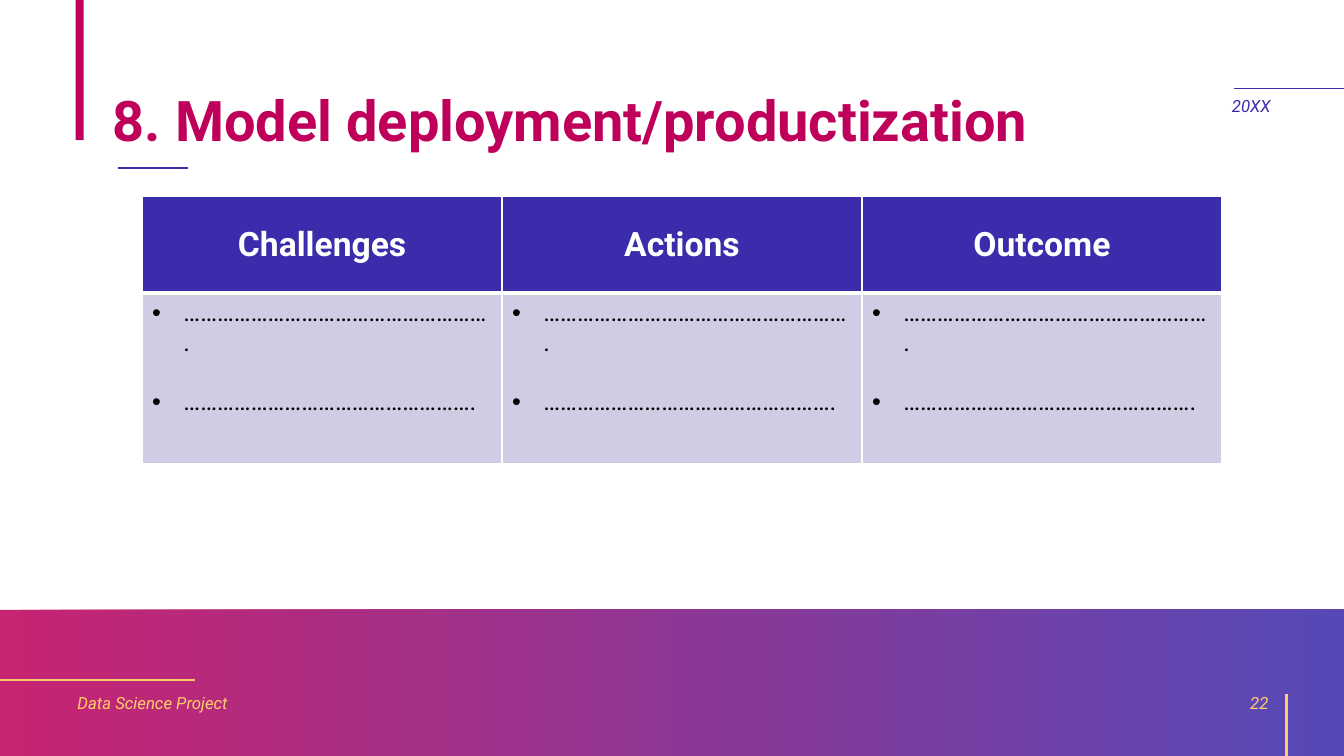
from lxml.etree import SubElement
from pptx import Presentation
from pptx.dml.color import RGBColor
from pptx.enum.shapes import MSO_CONNECTOR, MSO_SHAPE
from pptx.enum.text import MSO_ANCHOR, PP_ALIGN
from pptx.oxml import parse_xml
from pptx.oxml.ns import nsdecls, qn
from pptx.util import Inches, Pt

HUES = {"pink": "BE005A", "blue": "3B2CAC", "gold": "FFCD6B",
        "pale": "CECDE3", "white": "FFFFFF", "black": "000000"}
FONT = "Roboto"
DOTS = ["……………………………………………….", "……………………………………………."]
COLS = {"Challenges": DOTS, "Actions": DOTS, "Outcome": DOTS}


def hue(name):
    return RGBColor.from_string(HUES[name])


def add_run(para, text, size, color, bold=False, italic=False):
    run = para.add_run()
    run.text = text
    font = run.font
    font.name, font.size = FONT, Pt(size)
    font.bold, font.italic = bold, italic
    font.color.rgb = hue(color)


def add_text(slide, box, text, size, color, anchor=MSO_ANCHOR.MIDDLE, **style):
    frame = slide.shapes.add_textbox(*map(Inches, box)).text_frame
    frame.word_wrap = True
    frame.vertical_anchor = anchor
    para = frame.paragraphs[0]
    add_run(para, text, size, color, **style)
    return para


def add_rect(slide, box):
    rect = slide.shapes.add_shape(MSO_SHAPE.RECTANGLE, *map(Inches, box))
    rect.shadow.inherit = False
    rect.line.fill.background()
    return rect


def add_line(slide, ends, color, width):
    line = slide.shapes.add_connector(MSO_CONNECTOR.STRAIGHT, *map(Inches, ends))
    line.line.color.rgb = hue(color)
    line.line.width = Pt(width)
    SubElement(line._element.spPr, qn("a:effectLst"))


def add_head(slide, left, top, width, height):
    # Accent bar, title and short rule
    bar = add_rect(slide, (left, top, 0.08, 1.39))
    bar.fill.solid()
    bar.fill.fore_color.rgb = hue("pink")
    box = (left + 0.27, top + 0.5, width - 0.27, height - 0.5)
    title = add_text(slide, box, "8. Model deployment/productization",
                     40, "pink", bold=True)
    title.line_spacing = 0.9
    rule = top + 1.67
    add_line(slide, (left + 0.42, rule, left + 1.11, rule), "blue", 1.5)


def add_date(slide, left, top, width):
    # Date under a thin rule
    add_line(slide, (left + 0.12, top, left + width, top), "blue", 0.5)
    date = add_text(slide, (left, top + 0.04, 0.67, 0.36), "20XX", 12, "blue",
                    MSO_ANCHOR.TOP, italic=True)
    date.line_spacing = 0.9


def add_foot(slide, left, top, width, height):
    # Gradient band
    band = add_rect(slide, (left, top, width, height))
    band.fill.gradient()
    band.fill.gradient_angle = 0
    for stop, name, pos in zip(band.fill.gradient_stops, ("pink", "blue"), (0, 1)):
        stop.color.rgb = hue(name)
        stop.position = pos
    for clr in band._element.spPr.iter(qn("a:srgbClr")):
        SubElement(clr, qn("a:alpha")).set("val", "85000")
    # Gold rules, project name and page number
    end = left + width
    add_line(slide, (left, top + 0.7, left + 1.93, top + 0.7), "gold", 1.5)
    add_line(slide, (end - 0.57, top + height, end - 0.57, top + 0.84), "gold", 1.5)
    add_text(slide, (left + 0.67, top + 0.72, 3.56, 0.4),
             "Data Science Project", 12, "gold", italic=True)
    page = add_text(slide, (end - 3.65, top + 0.72, 3, 0.4), "22", 12, "gold",
                    italic=True)
    page.alignment = PP_ALIGN.RIGHT
    page.space_after = Pt(6)


def style_cell(cell, color, base):
    cell.fill.solid()
    cell.fill.fore_color.rgb = hue(color)
    props = cell._tc.get_or_add_tcPr()
    for spot, (side, width) in enumerate(zip("LRTB", (1, 1, base[0], base[1]))):
        props.insert(spot, parse_xml(
            f'<a:ln{side} {nsdecls("a")} w="{Pt(width)}"><a:solidFill>'
            f'<a:srgbClr val="{HUES["white"]}"/></a:solidFill></a:ln{side}>'))


def add_point(para, text):
    props = para._p.get_or_add_pPr()
    props.set("marL", str(Inches(0.31)))
    props.set("indent", str(-Inches(0.31)))
    SubElement(props, qn("a:buFont")).set("typeface", "Arial")
    SubElement(props, qn("a:buChar")).set("char", "•")
    add_run(para, text, 18, "black")


def add_grid(slide, left, top, width, height):
    box = map(Inches, (left, top, width, height))
    grid = slide.shapes.add_table(2, len(COLS), *box).table
    grid.first_row = grid.horz_banding = False
    grid.rows[0].height = Inches(0.96)
    grid.rows[1].height = Inches(height - 0.96)
    for col, (name, points) in enumerate(COLS.items()):
        # Header cell
        head = grid.cell(0, col)
        style_cell(head, "blue", (1, 3))
        head.vertical_anchor = MSO_ANCHOR.MIDDLE
        para = head.text_frame.paragraphs[0]
        para.alignment = PP_ALIGN.CENTER
        add_run(para, name, 24, "white", bold=True)
        # Body cell, points one line apart
        body = grid.cell(1, col)
        style_cell(body, "pale", (3, 1))
        frame = body.text_frame
        for num, text in enumerate(points):
            para = frame.add_paragraph() if num else frame.paragraphs[0]
            if num:
                para.space_before = Pt(21)
            add_point(para, text)


def main():
    deck = Presentation()
    deck.slide_width, deck.slide_height = Inches(13.33), Inches(7.5)
    slide = deck.slides.add_slide(deck.slide_layouts[6])
    add_foot(slide, 0, 6.05, 13.33, 1.45)
    add_head(slide, 0.75, 0, 11.72, 1.95)
    add_date(slide, 12.12, 0.88, 1.21)
    add_grid(slide, 1.41, 1.95, 10.71, 2.65)
    deck.save("out.pptx")


if __name__ == "__main__":
    main()
